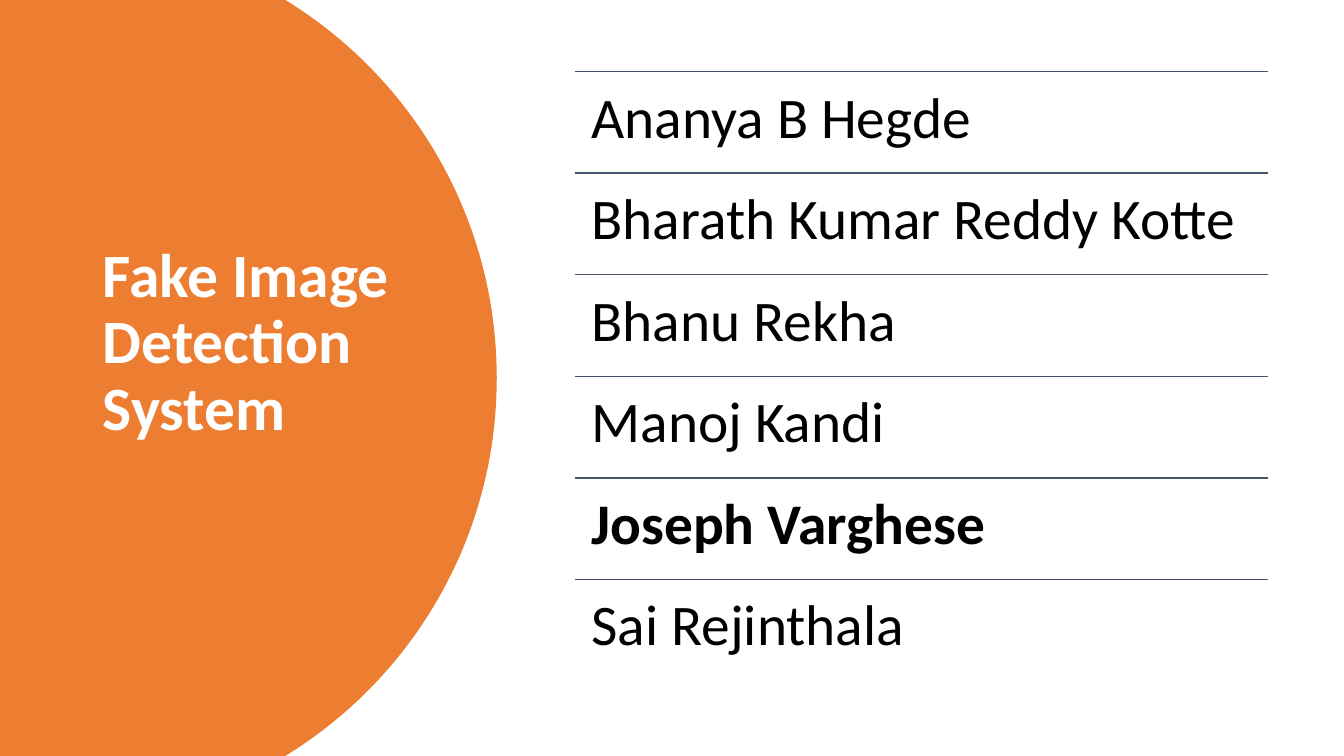
import dataclasses

import lxml.etree
import pptx
import pptx.dml.color
import pptx.enum.shapes
import pptx.enum.text
import pptx.oxml.ns
import pptx.util

Cm = pptx.util.Cm
Pt = pptx.util.Pt


@dataclasses.dataclass(frozen=True)
class Theme:
    font: str = "Calibri"
    panel: str = "ED7D31"
    rule: str = "44546A"
    title: str = "FFFFFF"
    text: str = "000000"
    title_size: int = 44
    name_size: int = 41
    rule_width: int = 1


def color(value):
    return pptx.dml.color.RGBColor.from_string(value)


def write_text(shape, text, *, font, size, fill, bold=False, space_after=0,
               anchor=pptx.enum.text.MSO_ANCHOR.TOP, insets=(0.25, 0.13, 0.25, 0.13)):
    """Write one left-aligned paragraph; insets are left, top, right, bottom in cm."""
    frame = shape.text_frame
    frame.word_wrap = True
    frame.auto_size = pptx.enum.text.MSO_AUTO_SIZE.NONE
    frame.vertical_anchor = anchor
    (frame.margin_left, frame.margin_top,
     frame.margin_right, frame.margin_bottom) = map(Cm, insets)
    paragraph = frame.paragraphs[0]
    paragraph.alignment = pptx.enum.text.PP_ALIGN.LEFT
    paragraph.line_spacing = 0.9
    paragraph.space_before = Pt(0)
    paragraph.space_after = Pt(space_after)
    run = paragraph.add_run()
    run.text = text
    run.font.name = font
    run.font.size = Pt(size)
    run.font.bold = bold
    run.font.color.rgb = color(fill)


def bezier(start, control_1, control_2, end, steps=48):
    """Return points along a cubic curve, both ends included."""
    points = []
    for step in range(steps + 1):
        t = step / steps
        weights = ((1 - t) ** 3, 3 * t * (1 - t) ** 2, 3 * t ** 2 * (1 - t), t ** 3)
        points.append(tuple(
            sum(weight * value for weight, value in zip(weights, values))
            for values in zip(start, control_1, control_2, end)))
    return points


class SlideBuilder:
    def __init__(self, slide, theme):
        self.slide = slide
        self.theme = theme

    def panel(self, points):
        points = [(Cm(x), Cm(y)) for x, y in points]
        builder = self.slide.shapes.build_freeform(*points[0])
        builder.add_line_segments(points[1:], close=True)
        shape = builder.convert_to_shape()
        shape.shadow.inherit = False
        shape.fill.solid()
        shape.fill.fore_color.rgb = color(self.theme.panel)
        shape.line.fill.background()
        # Keep the panel behind the title
        self.slide.shapes._spTree.insert(2, shape._element)

    def title(self, text, left, top, width, height):
        shape = self.slide.shapes.title
        shape.left, shape.top, shape.width, shape.height = map(
            Cm, (left, top, width, height))
        # The deep bottom inset lifts the text half a line above the centre
        write_text(shape, text, font=self.theme.font, size=self.theme.title_size,
                   fill=self.theme.title, bold=True,
                   anchor=pptx.enum.text.MSO_ANCHOR.MIDDLE,
                   insets=(0.25, 0.13, 0.25, 1.83))

    def rule(self, left, top, width):
        line = self.slide.shapes.add_connector(
            pptx.enum.shapes.MSO_CONNECTOR.STRAIGHT,
            Cm(left), Cm(top), Cm(left + width), Cm(top))
        line.line.color.rgb = color(self.theme.rule)
        line.line.width = Pt(self.theme.rule_width)
        lxml.etree.SubElement(line._element.spPr, pptx.oxml.ns.qn("a:effectLst"))

    def name(self, text, left, top, width, height, bold):
        box = self.slide.shapes.add_textbox(Cm(left), Cm(top), Cm(width), Cm(height))
        write_text(box, text, font=self.theme.font, size=self.theme.name_size,
                   fill=self.theme.text, bold=bold, insets=(0.43,) * 4)


def main():
    presentation = pptx.Presentation()
    presentation.slide_width = Cm(33.87)
    presentation.slide_height = Cm(19.05)
    slide = presentation.slides.add_slide(
        presentation.slide_layouts.get_by_name("Title Only"))
    builder = SlideBuilder(slide, Theme())

    # Orange panel: upper curve, then its mirror image
    height = 19.05
    upper = bezier((7.19, 0), (10.39, 1.96), (12.52, 5.49), (12.52, height / 2))
    lower = [(x, height - y) for x, y in reversed(upper[:-1])]
    builder.panel([(0, 0), *upper, *lower, (0, height)])

    # Title
    builder.title("Fake Image Detection System", 2.34, 1.78, 8.2, 15.47)

    # Ruled list of names
    names = ["Ananya B Hegde", "Bharath Kumar Reddy Kotte", "Bhanu Rekha",
             "Manoj Kandi", "Joseph Varghese", "Sai Rejinthala"]
    left, first_top, width, row_height = 14.48, 1.8, 17.47, 2.56
    for index, name in enumerate(names):
        top = first_top + index * row_height
        builder.rule(left, top, width)
        builder.name(name, left, top, width, row_height,
                     bold=name == "Joseph Varghese")

    presentation.save("out.pptx")


if __name__ == "__main__":
    main()
